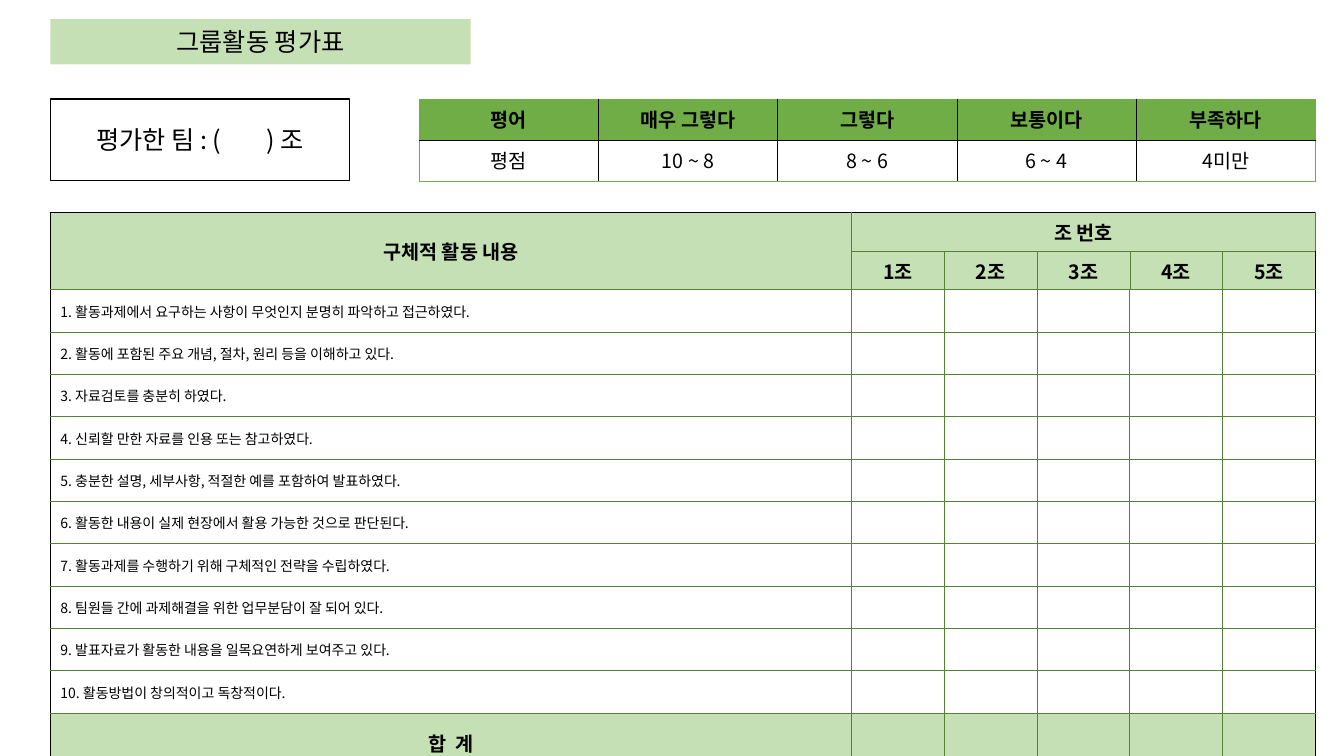
from dataclasses import dataclass

import lxml.etree
import pptx
import pptx.dml.color
import pptx.enum.shapes
import pptx.enum.text
import pptx.oxml.ns
import pptx.util

Pt = pptx.util.Pt
RGB = pptx.dml.color.RGBColor.from_string
qn = pptx.oxml.ns.qn
CENTER = pptx.enum.text.PP_ALIGN.CENTER
LEFT = pptx.enum.text.PP_ALIGN.LEFT
MIDDLE = pptx.enum.text.MSO_ANCHOR.MIDDLE


@dataclass
class Theme:
    font: str = "Noto Sans CJK KR"
    ink: str = "000000"
    paper: str = "FFFFFF"
    pale: str = "C5E0B4"
    green: str = "70AD47"
    rule: str = "548235"
    title_size: int = 18
    head_size: int = 14
    item_size: int = 10


theme = Theme()


def write(holder, text, size, bold=False, align=CENTER):
    """Put one styled line of text into a shape or a cell."""
    holder.text_frame.text = text
    holder.vertical_anchor = MIDDLE
    holder.text_frame.vertical_anchor = MIDDLE
    paragraph = holder.text_frame.paragraphs[0]
    paragraph.alignment = align
    for run in paragraph.runs:
        run.font.name = theme.font
        run.font.size = Pt(size)
        run.font.bold = bold
        run.font.color.rgb = RGB(theme.ink)
        lxml.etree.SubElement(run.font._element, qn("a:ea"), typeface=theme.font)
    if not text:
        lxml.etree.SubElement(paragraph._p, qn("a:endParaRPr"), sz=str(size * 100))


def paint(cell, fill, edges):
    """Fill a cell and draw its left, right, top and bottom edges."""
    cell.fill.solid()
    cell.fill.fore_color.rgb = RGB(fill)
    properties = cell._tc.get_or_add_tcPr()
    for position, (side, (color, width)) in enumerate(zip("LRTB", edges)):
        edge = lxml.etree.Element(qn(f"a:ln{side}"), w=str(Pt(width)))
        solid = lxml.etree.SubElement(edge, qn("a:solidFill"))
        lxml.etree.SubElement(solid, qn("a:srgbClr"), val=color)
        properties.insert(position, edge)


deck = pptx.Presentation()
deck.slide_width, deck.slide_height = Pt(960), Pt(540)
slide = deck.slides.add_slide(deck.slide_layouts[6])

# Title band and team box
labels = [
    ("그룹활동 평가표", (36, 13.7, 300.2, 32.4), theme.pale, False),
    ("평가한 팀 : (        ) 조", (36, 70.6, 213.8, 58.3), theme.paper, True),
]
for text, place, fill, outlined in labels:
    label = slide.shapes.add_shape(
        pptx.enum.shapes.MSO_SHAPE.RECTANGLE, *map(Pt, place))
    label.shadow.inherit = False
    label.fill.solid()
    label.fill.fore_color.rgb = RGB(fill)
    if outlined:
        label.line.color.rgb = RGB(theme.ink)
        label.line.width = Pt(1)
    else:
        label.line.fill.background()
    write(label, text, theme.title_size)

# Rating scale
ratings = [
    ["평어", "매우 그렇다", "그렇다", "보통이다", "부족하다"],
    ["평점", "10 ~ 8", "8 ~ 6", "6 ~ 4", "4미만"],
]
scale = slide.shapes.add_table(
    2, 5, Pt(299.5), Pt(70.6), Pt(640), Pt(58.6)).table
scale.first_row = scale.horz_banding = False
outer, inner = (theme.green, 0.5), (theme.ink, 0.5)
for r, row in enumerate(ratings):
    for c, text in enumerate(row):
        cell = scale.cell(r, c)
        write(cell, text, theme.head_size, bold=r == 0)
        paint(cell, theme.paper if r else theme.green, [
            outer if c == 0 else inner,
            outer if c == 4 else inner,
            outer if r == 0 else inner,
            outer if r == 1 else inner,
        ])

# Score sheet contents
criteria = [
    "활동과제에서 요구하는 사항이 무엇인지 분명히 파악하고 접근하였다.",
    "활동에 포함된 주요 개념, 절차, 원리 등을 이해하고 있다.",
    "자료검토를 충분히 하였다.",
    "신뢰할 만한 자료를 인용 또는 참고하였다.",
    "충분한 설명, 세부사항, 적절한 예를 포함하여 발표하였다.",
    "활동한 내용이 실제 현장에서 활용 가능한 것으로 판단된다.",
    "활동과제를 수행하기 위해 구체적인 전략을 수립하였다.",
    "팀원들 간에 과제해결을 위한 업무분담이 잘 되어 있다.",
    "발표자료가 활동한 내용을 일목요연하게 보여주고 있다.",
    "활동방법이 창의적이고 독창적이다.",
]
blanks = [""] * 5
rows = [["구체적 활동 내용", "조 번호", "", "", "", ""],
        [""] + [f"{team}조" for team in range(1, 6)]]
rows += [[f"{n}. {text}"] + blanks for n, text in enumerate(criteria, 1)]
rows.append(["합  계"] + blanks)
heights = [27.6] * 2 + [30.25] * len(criteria) + [42.5]
widths = [572.4] + [66.24] * 5
last = len(rows) - 1

# Score sheet table
sheet = slide.shapes.add_table(
    len(rows), 6, Pt(36), Pt(151.7), Pt(sum(widths)), Pt(sum(heights))).table
sheet.first_row = sheet.horz_banding = False
for column, width in zip(sheet.columns, widths):
    column.width = Pt(width)
for row, height in zip(sheet.rows, heights):
    row.height = Pt(height)
frame = (theme.ink, 1)
for r, row in enumerate(rows):
    is_item = 2 <= r < last
    inner = (theme.rule, 0.5 if r < 2 else 0.75)
    above = (theme.rule, 0.5 if r <= 2 else 0.75)
    for c, text in enumerate(row):
        cell = sheet.cell(r, c)
        size = theme.item_size if is_item or not text else theme.head_size
        write(cell, text, size, bold=not is_item,
              align=LEFT if is_item else CENTER)
        paint(cell, theme.paper if is_item else theme.pale, [
            frame if c == 0 else inner,
            frame if c == 5 else inner,
            frame if r == 0 else above,
            frame if r == last else inner,
        ])
sheet.cell(0, 0).merge(sheet.cell(1, 0))
sheet.cell(0, 1).merge(sheet.cell(0, 5))

deck.save("out.pptx")
